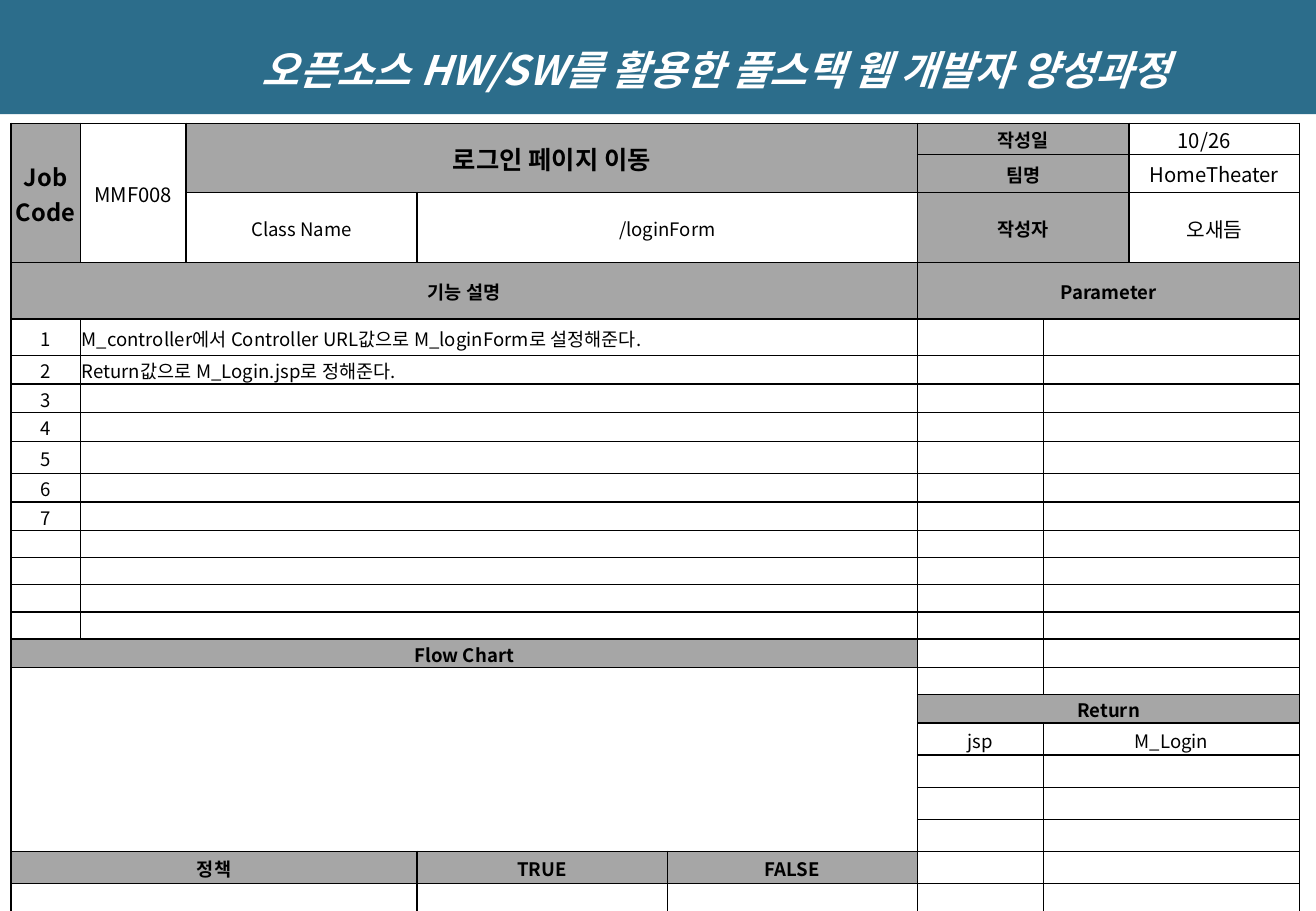
import pptx
import pptx.util
import pptx.dml.color
import pptx.enum.text
import pptx.oxml
import pptx.oxml.ns

Cm = pptx.util.Cm
Pt = pptx.util.Pt
ALIGN = pptx.enum.text.PP_ALIGN
MIDDLE = pptx.enum.text.MSO_ANCHOR.MIDDLE

THEME = {
    "font": "Noto Sans CJK KR",
    "banner": "2C6D8B",
    "header": "A6A6A6",
    "paper": "FFFFFF",
    "ink": "000000",
    "course": {"size": Pt(24), "bold": True, "italic": True},
    "code": {"size": Pt(14), "bold": True},
    "heading": {"size": Pt(15), "bold": True},
    "label": {"size": Pt(11), "bold": True},
    "value": {"size": Pt(12), "bold": False},
    "text": {"size": Pt(11), "bold": False},
}


def colour(name):
    return pptx.dml.color.RGBColor.from_string(THEME[name])


def write(paragraph, words, style, ink):
    paragraph.text = words
    for span in paragraph.runs:
        for name, setting in THEME[style].items():
            setattr(span.font, name, setting)
        span.font.name = THEME["font"]
        span.font.color.rgb = colour(ink)
        east_asian = pptx.oxml.parse_xml(
            f'<a:ea {pptx.oxml.ns.nsdecls("a")} typeface="{THEME["font"]}"/>'
        )
        span.font._element.find(pptx.oxml.ns.qn("a:latin")).addnext(east_asian)


deck = pptx.Presentation()
deck.slide_width = Cm(27.51)
deck.slide_height = Cm(19.05)
page = deck.slides.add_slide(deck.slide_layouts[5])

banner = page.shapes.title
banner_place = {"left": 0, "top": 0, "width": deck.slide_width, "height": Cm(2.39)}
for name, setting in banner_place.items():
    setattr(banner, name, setting)
banner.fill.solid()
banner.fill.fore_color.rgb = colour("banner")
banner_format = {
    "word_wrap": True,
    "auto_size": pptx.enum.text.MSO_AUTO_SIZE.NONE,
    "vertical_anchor": MIDDLE,
    "margin_left": Cm(2.68),
}
for name, setting in banner_format.items():
    setattr(banner.text_frame, name, setting)
course = banner.text_frame.paragraphs[0]
course.alignment = ALIGN.CENTER
course.line_spacing = 1.5
write(course, "오픈소스 HW/SW를 활용한 풀스택 웹 개발자 양성과정", "course", "paper")

column_widths = [1.45, 2.21, 4.83, 5.23, 5.23, 2.63, 1.79, 3.57]
row_heights = [0.57] * 3 + [1.18, 0.76, 0.57, 0.57, 0.61, 0.67] + [0.57] * 9 + [0.67] * 7
frame = page.shapes.add_table(
    len(row_heights), len(column_widths),
    Cm(0.23), Cm(2.58), Cm(sum(column_widths)), Cm(sum(row_heights)),
)
table = frame.table
table.first_row = False
table.horz_banding = False
for column, width in zip(table.columns, column_widths):
    column.width = Cm(width)
for row, height in zip(table.rows, row_heights):
    row.height = Cm(height)

spans = {
    (0, 0): (3, 1), (0, 1): (3, 1), (0, 2): (2, 3), (2, 3): (1, 2),
    (3, 0): (1, 5), (3, 5): (1, 3), (15, 0): (1, 5), (16, 0): (6, 5), (17, 5): (1, 3),
}
for row in range(3):
    spans[row, 5] = (1, 2)
for row in range(4, 15):
    spans[row, 1] = (1, 4)
for row in range(4, 25):
    if row != 17:
        spans[row, 6] = (1, 2)
for row in range(22, 25):
    spans[row, 0] = (1, 3)
for (row, column), (down, across) in spans.items():
    table.cell(row, column).merge(table.cell(row + down - 1, column + across - 1))

contents = {
    (0, 0): ("Job\vCode", "code"),
    (0, 1): ("MMF008", "value"),
    (0, 2): ("로그인 페이지 이동", "heading"),
    (0, 5): ("작성일", "label"),
    (0, 7): ("10/26　", "value"),
    (1, 5): ("팀명", "label"),
    (1, 7): ("HomeTheater", "value"),
    (2, 2): ("Class Name", "text"),
    (2, 3): ("/loginForm", "text"),
    (2, 5): ("작성자", "label"),
    (2, 7): ("오새듬", "value"),
    (3, 0): ("기능 설명", "label"),
    (3, 5): ("Parameter", "label"),
    (4, 1): ("M_controller에서 Controller URL값으로 M_loginForm로 설정해준다.", "text"),
    (5, 1): ("Return값으로 M_Login.jsp로 정해준다.", "text"),
    (15, 0): ("Flow Chart", "label"),
    (17, 5): ("Return", "label"),
    (18, 5): ("jsp", "text"),
    (18, 6): ("M_Login", "text"),
    (22, 0): ("정책", "label"),
    (22, 3): ("TRUE", "label"),
    (22, 4): ("FALSE", "label"),
}
for number in range(1, 8):
    contents[number + 3, 0] = (str(number), "text")

cell_format = {
    "margin_left": Cm(0.03),
    "margin_right": Cm(0.03),
    "margin_top": Cm(0.03),
    "margin_bottom": 0,
    "vertical_anchor": MIDDLE,
}
for row in range(len(row_heights)):
    for column in range(len(column_widths)):
        cell = table.cell(row, column)
        words, style = contents.get((row, column), ("", "text"))
        for name, setting in cell_format.items():
            setattr(cell, name, setting)
        for side in ("lnL", "lnR", "lnT", "lnB"):
            cell._tc.get_or_add_tcPr().append(pptx.oxml.parse_xml(
                f'<a:{side} {pptx.oxml.ns.nsdecls("a")} w="{Pt(1)}"><a:solidFill>'
                f'<a:srgbClr val="{THEME["ink"]}"/></a:solidFill></a:{side}>'
            ))
        cell.fill.solid()
        shaded = style in ("code", "heading", "label")
        cell.fill.fore_color.rgb = colour("header" if shaded else "paper")
        para = cell.text_frame.paragraphs[0]
        if words:
            sentence = column == 1 and row > 3
            para.alignment = ALIGN.LEFT if sentence else ALIGN.CENTER
            write(para, words, style, "ink")
        else:
            para._p.append(pptx.oxml.parse_xml(
                f'<a:endParaRPr {pptx.oxml.ns.nsdecls("a")} sz="1000"/>'
            ))

deck.save("out.pptx")
